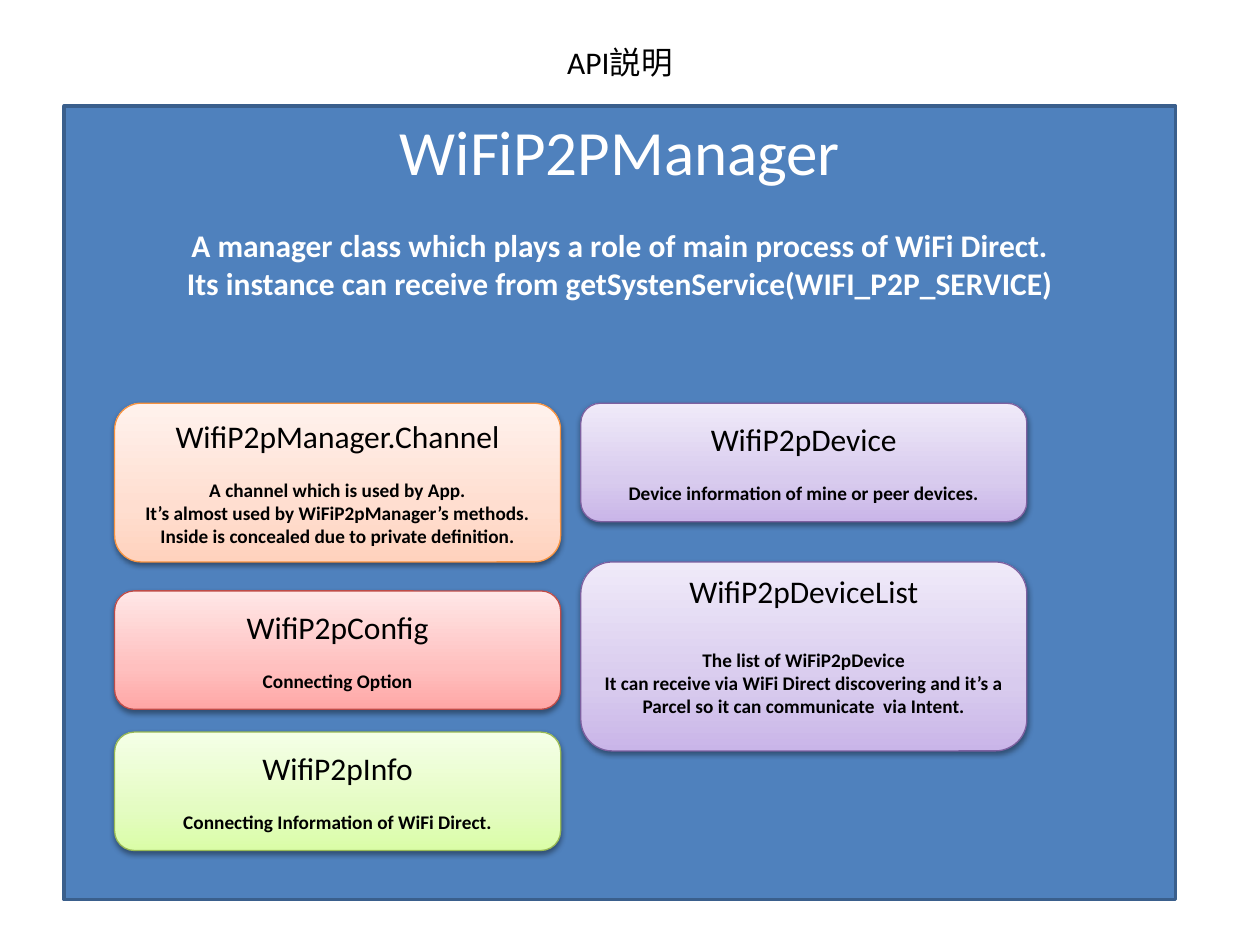
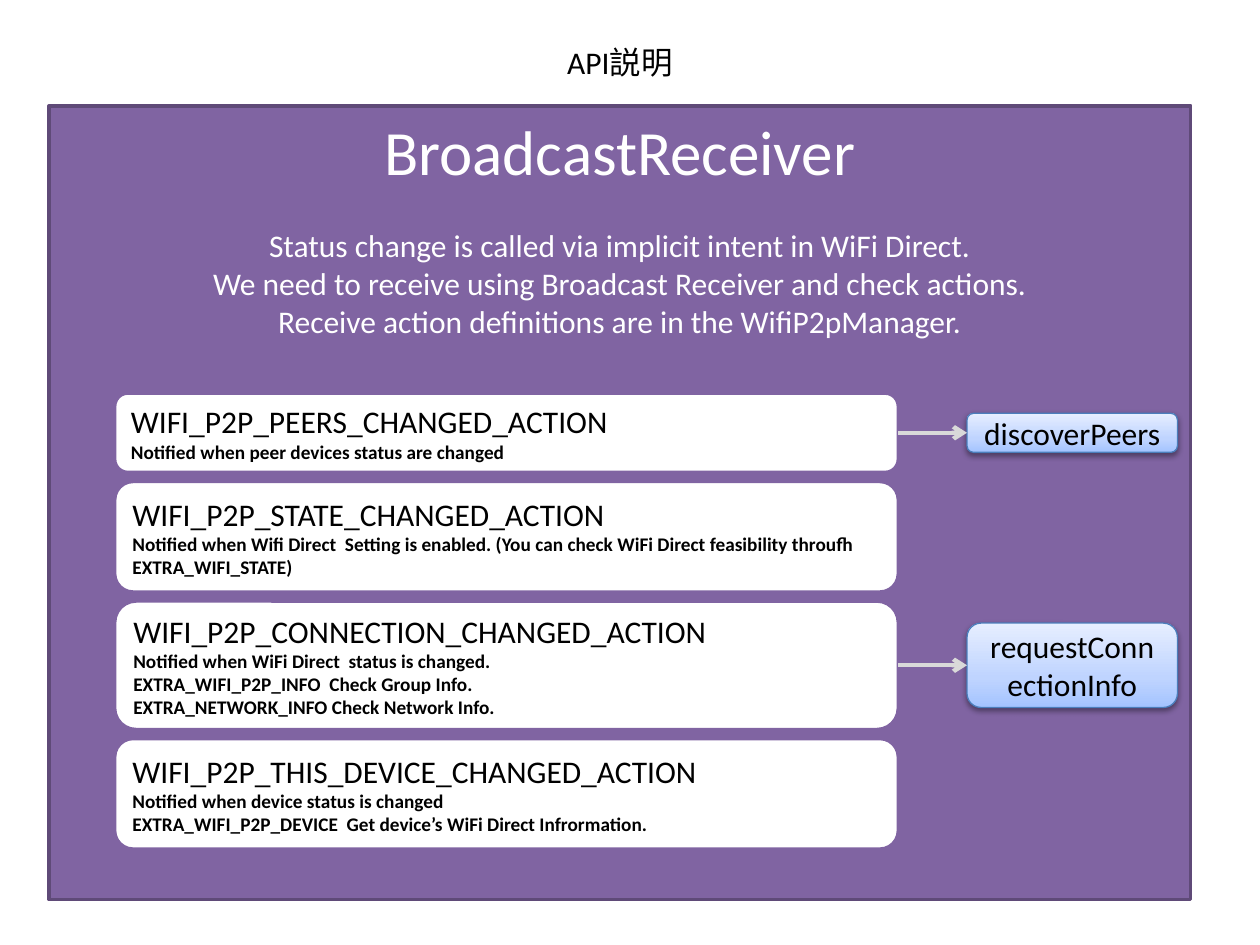
from copy import deepcopy
from dataclasses import dataclass

from lxml import etree
from pptx import Presentation, util as u
from pptx.dml import color
from pptx.enum import shapes, text
from pptx.oxml import ns


@dataclass(frozen=True)
class Theme:
    font: str = "Calibri"
    panel_size: int = 36
    body_size: int = 18
    note_size: int = 11
    line_height: float = 1.22
    panel_line: float = 2
    card_line: float = 0.75
    arrow_line: float = 2.5
    black: str = "000000"
    white: str = "FFFFFF"
    arrow: str = "D9D9D9"
    manager: tuple = ("4F81BD", "3A5F8C")
    receiver: tuple = ("8064A2", "5F4A78")
    action: tuple = ("FFFFFF", "8064A2")
    orange: tuple = ("FFD2BD", "FFDED0", "FFF2ED", "F69240")
    purple: tuple = ("C9B5E8", "D8CBEE", "F0EAF9", "7D60A0")
    red: tuple = ("FFA6A5", "FFC0BF", "FFE7E7", "BF4C48")
    green: tuple = ("DAFDA7", "E4FCC2", "F5FFE7", "98B955")
    blue: tuple = ("A4C4FF", "BFD4FF", "E6EEFF", "4B7EBC")


theme = Theme()
rgb = color.RGBColor.from_string
deck = Presentation()
deck.slide_width, deck.slide_height = u.Inches(10), u.Inches(7.5)
column, row = deck.slide_width / 100, deck.slide_height / 100


def add_box(slide, kind, left, top, width, height, colours):
    box = slide.shapes.add_shape(kind, round(left * column), round(top * row),
                                 round(width * column), round(height * row))
    box.shadow.inherit = False
    *fills, edge = colours
    box.line.color.rgb = rgb(edge)
    if len(fills) == 1:
        box.fill.solid()
        box.fill.fore_color.rgb = rgb(fills[0])
        box.line.width = u.Pt(theme.panel_line)
        return box
    box.line.width = u.Pt(theme.card_line)
    box.fill.gradient()
    box.fill.gradient_angle = 90
    stops = box.element.spPr.find(".//" + ns.qn("a:gsLst"))
    stops.append(deepcopy(stops[-1]))
    for stop, position, shade in zip(box.fill.gradient_stops, (0, 0.35, 1), fills):
        stop.position = position
        stop.color.rgb = rgb(shade)
    effects = box.element.spPr.find(ns.qn("a:effectLst"))
    shadow = etree.SubElement(effects, ns.qn("a:outerShdw"), blurRad="40000",
                              dist="20000", dir="5400000", rotWithShape="0")
    black = etree.SubElement(shadow, ns.qn("a:srgbClr"), val=theme.black)
    etree.SubElement(black, ns.qn("a:alpha"), val="38000")
    return box


def write(box, lines, sizes, ink, bold=False, gap=0, align="CENTER", anchor="MIDDLE"):
    frame = box.text_frame
    frame.text = "\n".join(lines)
    frame.word_wrap = True
    frame.vertical_anchor = text.MSO_ANCHOR[anchor]
    for index, paragraph in enumerate(frame.paragraphs):
        paragraph.alignment = text.PP_ALIGN[align]
        paragraph.space_before = u.Pt(gap * theme.line_height if index == 1 else 0)
        for run in paragraph.runs:
            run.font.name = theme.font
            run.font.size = u.Pt(sizes[min(index, 1)])
            run.font.bold = bold and index > 0
            run.font.color.rgb = rgb(ink)


rectangle = shapes.MSO_SHAPE.RECTANGLE
rounded = shapes.MSO_SHAPE.ROUNDED_RECTANGLE
panel_sizes = theme.panel_size, theme.body_size
card_sizes = theme.body_size, theme.note_size

panels = [
    (5.1, 88.2, theme.manager, True, [
        "WiFiP2PManager",
        "A manager class which plays a role of main process of WiFi Direct.",
        "Its instance can receive from getSystenService(WIFI_P2P_SERVICE)"]),
    (3.9, 90.6, theme.receiver, False, [
        "BroadcastReceiver",
        "Status change is called via implicit intent in WiFi Direct.",
        "We need to receive using Broadcast Receiver and check actions.",
        "Receive action definitions are in the WifiP2pManager."]),
]
for left, width, colours, bold, lines in panels:
    slide = deck.slides.add_slide(deck.slide_layouts[6])
    panel = add_box(slide, rectangle, left, 11.2, width, 84, colours)
    write(panel, lines, panel_sizes, theme.white, bold, theme.body_size, anchor="TOP")
    title = slide.shapes.add_textbox(round(5.1 * column), round(3.87 * row),
                                     round(88.2 * column), round(5.33 * row))
    write(title, ["API説明"], card_sizes, theme.black, anchor="TOP")

manager_slide, receiver_slide = deck.slides

first, second = 9.1, 46.1
classes = [
    (first, 42.67, 16.8, theme.orange, theme.note_size, 0, [
        "WifiP2pManager.Channel", "A channel which is used by App.",
        "It’s almost used by WiFiP2pManager’s methods. "
        "Inside is concealed due to private definition."]),
    (second, 42.67, 12.53, theme.purple, theme.note_size, 0, [
        "WifiP2pDevice", "Device information of mine or peer devices."]),
    (first, 62.53, 12.53, theme.red, theme.note_size, 0, [
        "WifiP2pConfig", "Connecting Option"]),
    (second, 59.47, 20, theme.purple, theme.body_size, theme.note_size, [
        "WifiP2pDeviceList", "The list of WiFiP2pDevice",
        "It can receive via WiFi Direct discovering and it’s a "
        "Parcel so it can communicate  via Intent."]),
    (first, 77.47, 12.53, theme.green, theme.note_size, 0, [
        "WifiP2pInfo", "Connecting Information of WiFi Direct."]),
]
for left, top, height, colours, gap, lift, lines in classes:
    card = add_box(manager_slide, rounded, left, top, 35.4, height, colours)
    write(card, lines, card_sizes, theme.black, True, gap)
    card.text_frame.margin_bottom += u.Pt(lift * theme.line_height)

actions = [
    (8.4, "discoverPeers", 4.13, [
        "WIFI_P2P_PEERS_CHANGED_ACTION",
        "Notified when peer devices status are changed"]),
    (11.7, None, 0, [
        "WIFI_P2P_STATE_CHANGED_ACTION",
        "Notified when Wifi Direct  Setting is enabled. "
        "(You can check WiFi Direct feasibility throufh EXTRA_WIFI_STATE)"]),
    (13.6, "requestConnectionInfo", 8.93, [
        "WIFI_P2P_CONNECTION_CHANGED_ACTION",
        "Notified when WiFi Direct  status is changed.",
        "EXTRA_WIFI_P2P_INFO  Check Group Info.",
        "EXTRA_NETWORK_INFO Check Network Info."]),
    (11.7, None, 0, [
        "WIFI_P2P_THIS_DEVICE_CHANGED_ACTION",
        "Notified when device status is changed",
        "EXTRA_WIFI_P2P_DEVICE  Get device’s WiFi Direct Infrormation."]),
]
top, spacing = 41.6, 0.95
for height, method, method_height, lines in actions:
    action = add_box(receiver_slide, rounded, first, top, 62.2, height, theme.action)
    write(action, lines, card_sizes, theme.black, True, align="LEFT")
    if method:
        method_top = top + (height - method_height) / 2
        call = add_box(receiver_slide, rounded, 76.75, method_top, 16.7,
                       method_height, theme.blue)
        write(call, [method], card_sizes, theme.black)
        arrow = receiver_slide.shapes.add_connector(
            shapes.MSO_CONNECTOR.STRAIGHT, 0, 0, 0, 0)
        arrow.begin_connect(action, 3)
        arrow.end_connect(call, 1)
        arrow.line.color.rgb = rgb(theme.arrow)
        arrow.line.width = u.Pt(theme.arrow_line)
        properties = arrow.element.spPr
        etree.SubElement(properties.find(ns.qn("a:ln")), ns.qn("a:tailEnd"), type="arrow")
        etree.SubElement(properties, ns.qn("a:effectLst"))
    top += height + spacing

deck.save("out.pptx")
